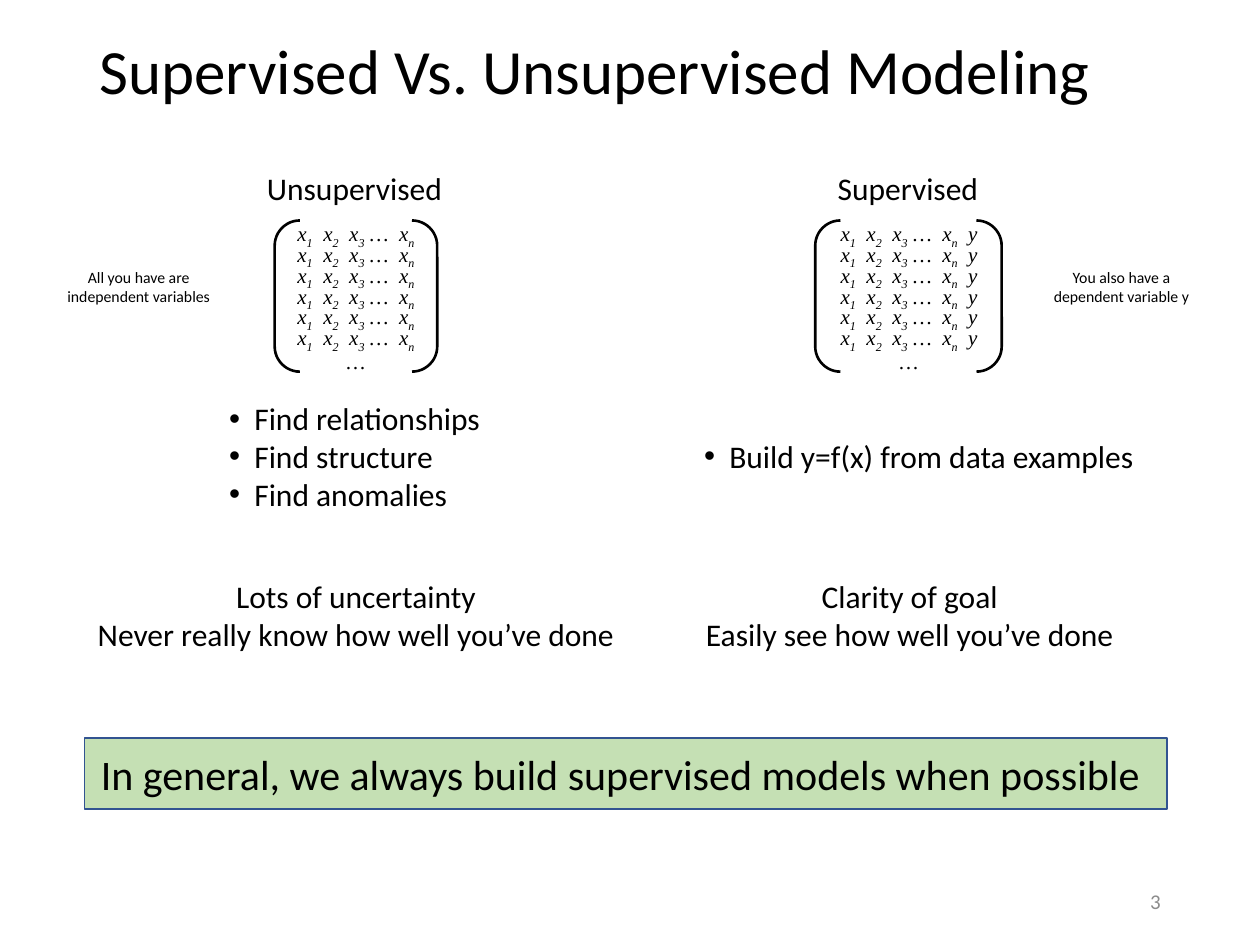
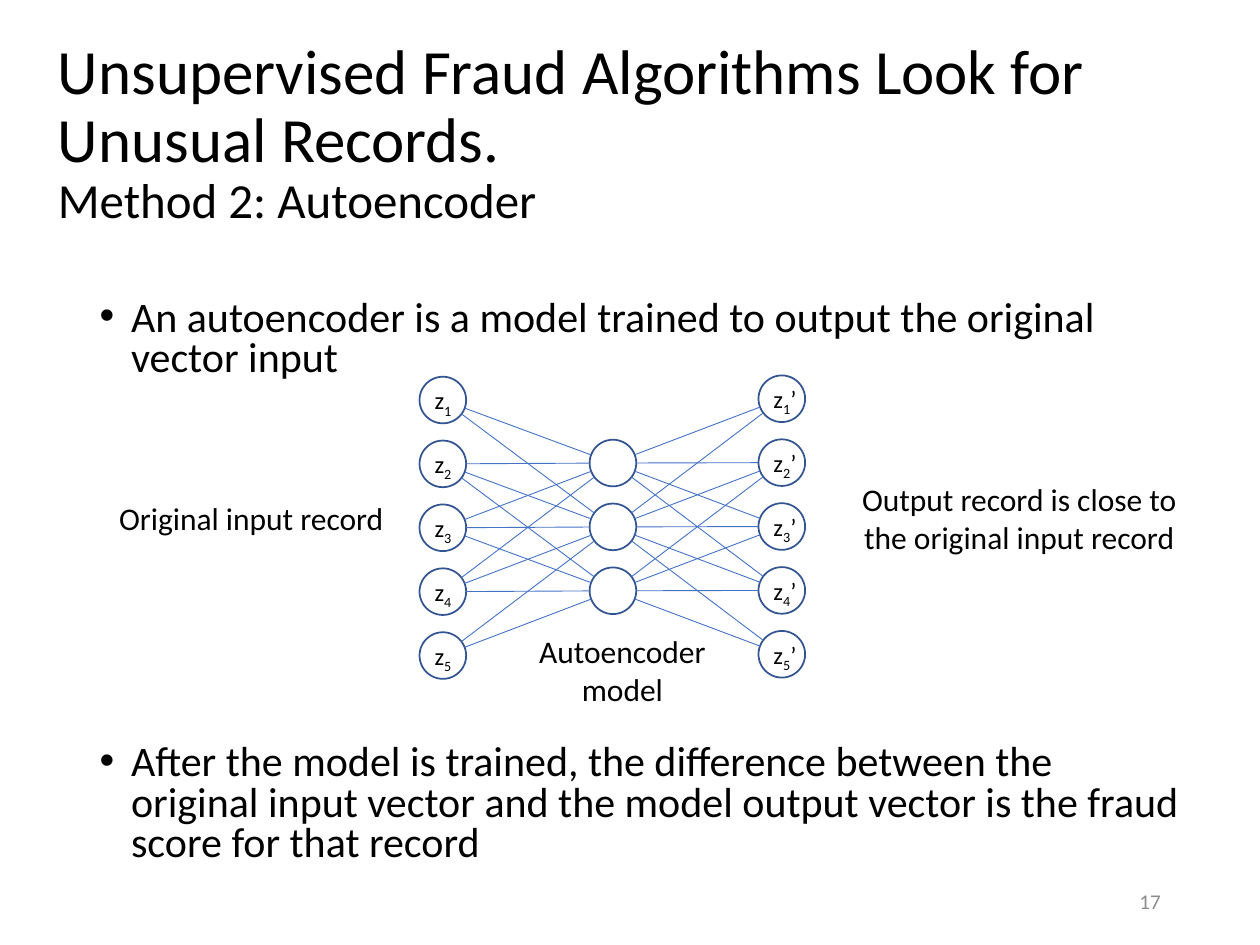
from math import hypot

from lxml import etree
from pptx import Presentation
from pptx.dml.color import RGBColor
from pptx.enum.shapes import MSO_CONNECTOR, MSO_SHAPE
from pptx.enum.text import MSO_ANCHOR, MSO_AUTO_SIZE, PP_ALIGN
from pptx.oxml.ns import qn
from pptx.util import Inches, Pt

LEFT, CENTER, RIGHT = PP_ALIGN.LEFT, PP_ALIGN.CENTER, PP_ALIGN.RIGHT
TOP, MIDDLE, BOTTOM = MSO_ANCHOR.TOP, MSO_ANCHOR.MIDDLE, MSO_ANCHOR.BOTTOM
BRACKETS, OVAL, RECT = MSO_SHAPE.DOUBLE_BRACKET, MSO_SHAPE.OVAL, MSO_SHAPE.RECTANGLE
STRAIGHT = MSO_CONNECTOR.STRAIGHT
COLORS = {"text": "000000", "number": "8C8C8C", "band": "C5E0B4",
          "outline": "325491", "link": "4472C4"}
SANS, SERIF = "Calibri", "Times New Roman"

# Slide 1: boxes are (left, top, width, height)
COMPARE_TITLE = "Supervised Vs. Unsupervised Modeling"
HEADINGS = [("Unsupervised", (2.02, 1.29, 1.61, 0.4)),
            ("Supervised", (6.55, 1.29, 1.33, 0.4))]
FINDINGS = [
    (["Find relationships", "Find structure", "Find anomalies"], (1.72, 3.12, 2.22, 1.01)),
    (["Build y=f(x) from data examples"], (5.49, 3.42, 3.76, 0.4)),
]
VERDICTS = [
    (["Lots of uncertainty", "Never really know how well you’ve done"],
     (0.65, 4.53, 4.35, 0.71)),
    (["Clarity of goal", "Easily see how well you’ve done"], (5.48, 4.53, 3.48, 0.71)),
]
SIDE_NOTES = [("All you have are independent variables", 0.36),
              ("You also have a dependent variable y", 8.16)]
CONCLUSION = "In general, we always build supervised models when possible"

# Each piece is (text, style); a gap is a widened space
X_ROW = [("x", ""), ("1", "sub"), (" ", "gap"), ("x", ""), ("2", "sub"), (" ", "gap"),
         ("x", ""), ("3", "sub"), (" …", ""), (" ", "gap"), ("x", ""), ("n", "sub")]
# (row pieces, bracket left, bracket width, row left, row width)
MATRICES = [(X_ROW, 2.18, 1.29, 2.34, 0.97),
            (X_ROW + [(" ", "gap"), ("y", "")], 6.47, 1.48, 6.65, 1.13)]
MATRIX_TOP, MATRIX_ROWS, ROW_STEP = 1.78, 6, 0.165

# Slide 2
ENCODER_TITLE = [("Unsupervised Fraud Algorithms Look for Unusual Records.", 36),
                 ("Method 2: Autoencoder", 28)]
# (bullet, space before in points)
ENCODER_BULLETS = [
    ("An autoencoder is a model trained to output the original vector input", 10),
    ("After the model is trained, the difference between the original input vector "
     "and the model output vector is the fraud score for that record", 208),
]
CAPTIONS = [
    (["Original input record"], (0.83, 3.91, 2.33, 0.4), False),
    (["Output record is close to the original input record"], (6.74, 3.76, 2.7, 0.71), True),
    (["Autoencoder", "model"], (4.17, 4.97, 1.54, 0.71), False),
]
NODE, NODE_STEP = 0.37, 0.507
# (left, top, node count, label suffix or None for unlabelled)
LAYERS = {"input": (3.33, 2.99, 5, ""), "hidden": (4.68, 3.49, 3, None),
          "output": (6.02, 2.98, 5, "’")}


def rgb(name):
    return RGBColor.from_string(COLORS[name])


def add_run(p, text, size, font=SANS, color="text", style="", italic=False):
    r = p.add_run()
    r.text = text
    f = r.font
    f.size, f.name, f.italic = Pt(size), font, italic
    f.color.rgb = rgb(color)
    if style == "sub":
        f._element.set("baseline", "-25000")
    elif style == "gap":
        f._element.set("spc", "300")


def add_bullet(p, indent):
    pPr = p._p.get_or_add_pPr()
    pPr.set("marL", str(Inches(indent)))
    pPr.set("indent", str(-Inches(indent)))
    etree.SubElement(pPr, qn("a:buFont")).set("typeface", "Arial")
    etree.SubElement(pPr, qn("a:buChar")).set("char", "•")


def add_text(s, lines, box, size=18, align=LEFT, anchor=TOP, wrap=False,
             bullet=False, inset=None, **style):
    """Each line is a string or a list of (text, style) pieces."""
    tf = s.shapes.add_textbox(*map(Inches, box)).text_frame
    tf.word_wrap, tf.vertical_anchor = wrap, anchor
    if inset is not None:
        tf.margin_left = tf.margin_right = tf.margin_top = tf.margin_bottom = Inches(inset)
    for i, line in enumerate(lines):
        p = tf.add_paragraph() if i else tf.paragraphs[0]
        p.alignment = align
        if bullet:
            add_bullet(p, 0.2)
        pieces = [(line, "")] if isinstance(line, str) else line
        for text, kind in pieces:
            add_run(p, text, size, style=kind, **style)


def add_shape(s, kind, box, line, width, fill=None):
    sp = s.shapes.add_shape(kind, *map(Inches, box))
    sp.shadow.inherit = False
    if fill:
        sp.fill.solid()
        sp.fill.fore_color.rgb = rgb(fill)
    else:
        sp.fill.background()
    sp.line.color.rgb = rgb(line)
    sp.line.width = Pt(width)
    return sp


def place(ph, box, anchor):
    ph.left, ph.top, ph.width, ph.height = map(Inches, box)
    tf = ph.text_frame
    tf.word_wrap, tf.auto_size, tf.vertical_anchor = True, MSO_AUTO_SIZE.NONE, anchor
    return tf


def new_slide(prs, layout, title, title_box, number):
    s = prs.slides.add_slide(prs.slide_layouts[layout])
    p = place(s.shapes.title, title_box, MIDDLE).paragraphs[0]
    p.alignment, p.line_spacing = LEFT, 0.9
    for i, (text, size) in enumerate(title):
        if i:
            p.add_line_break()
        add_run(p, text, size)
    add_text(s, [number], (7.06, 6.95, 2.25, 0.4), 12, RIGHT, MIDDLE, True, color="number")
    return s


def add_matrix(s, row, left, width, row_left, row_width):
    add_shape(s, BRACKETS, (left, 1.75, width, 1.2), "text", 1.5)
    for i, line in enumerate([row] * MATRIX_ROWS + ["…"]):
        add_text(s, [line], (row_left, MATRIX_TOP + i * ROW_STEP, row_width, 0.2), 12,
                 CENTER, BOTTOM, inset=0, font=SERIF, italic=True)


def add_link(s, start, end):
    """Join two node centres with a line that stops at the circles' edges."""
    (x1, y1), (x2, y2) = start, end
    trim = NODE / 2 / hypot(x2 - x1, y2 - y1)
    dx, dy = (x2 - x1) * trim, (y2 - y1) * trim
    ends = (x1 + dx, y1 + dy, x2 - dx, y2 - dy)
    c = s.shapes.add_connector(STRAIGHT, *map(Inches, ends))
    c.line.color.rgb = rgb("link")
    c.line.width = Pt(0.5)
    etree.SubElement(c._element.spPr, qn("a:effectLst"))


def add_network(s):
    centres = {}
    for layer, (left, top, count, suffix) in LAYERS.items():
        tops = [top + i * NODE_STEP for i in range(count)]
        centres[layer] = [(left + NODE / 2, y + NODE / 2) for y in tops]
        for i, y in enumerate(tops, 1):
            add_shape(s, OVAL, (left, y, NODE, NODE), "outline", 1)
            if suffix is not None:
                label = [("z", ""), (str(i), "sub")] + ([(suffix, "")] if suffix else [])
                add_text(s, [label], (left + 0.02, y + 0.02, 0.41 if suffix else 0.35, 0.34), 14)
    # Hidden node j sits level with outer node j + 1 and reaches two rows each way
    for layer in ("input", "output"):
        for i, outer in enumerate(centres[layer]):
            for j, hidden in enumerate(centres["hidden"]):
                if abs(i - (j + 1)) <= 2:
                    add_link(s, outer, hidden)


def build_comparison(prs):
    s = new_slide(prs, 5, [(COMPARE_TITLE, 36)], (0.69, 0.19, 8.62, 0.8), "3")
    for matrix in MATRICES:
        add_matrix(s, *matrix)
    for text, box in HEADINGS:
        add_text(s, [text], box)
    for lines, box in FINDINGS:
        add_text(s, lines, box, bullet=True)
    for lines, box in VERDICTS:
        add_text(s, lines, box, align=CENTER)
    for text, left in SIDE_NOTES:
        add_text(s, [text], (left, 2.08, 1.48, 0.4), 9, CENTER, wrap=True)
    # Conclusion band
    band = add_shape(s, RECT, (0.67, 5.86, 8.59, 0.56), "outline", 1, "band")
    tf = band.text_frame
    tf.word_wrap, tf.vertical_anchor = True, MIDDLE
    tf.margin_left, tf.margin_right = Inches(0.13), 0
    tf.paragraphs[0].alignment = LEFT
    add_run(tf.paragraphs[0], CONCLUSION, 24)


def build_autoencoder(prs):
    s = new_slide(prs, 1, ENCODER_TITLE, (0.36, 0.34, 9.27, 1.45), "17")
    # Bullets above and below the network
    tf = place(s.placeholders[1], (0.69, 2.33, 8.82, 4.76), TOP)
    for i, (text, before) in enumerate(ENCODER_BULLETS):
        p = tf.add_paragraph() if i else tf.paragraphs[0]
        p.line_spacing, p.space_before = 0.8, Pt(before)
        add_bullet(p, 0.25)
        add_run(p, text, 24)
    add_network(s)
    for lines, box, wrap in CAPTIONS:
        add_text(s, lines, box, align=CENTER, wrap=wrap)


def main():
    prs = Presentation()
    prs.slide_width, prs.slide_height = Inches(10), Inches(7.5)
    build_comparison(prs)
    build_autoencoder(prs)
    prs.save("out.pptx")


if __name__ == "__main__":
    main()
